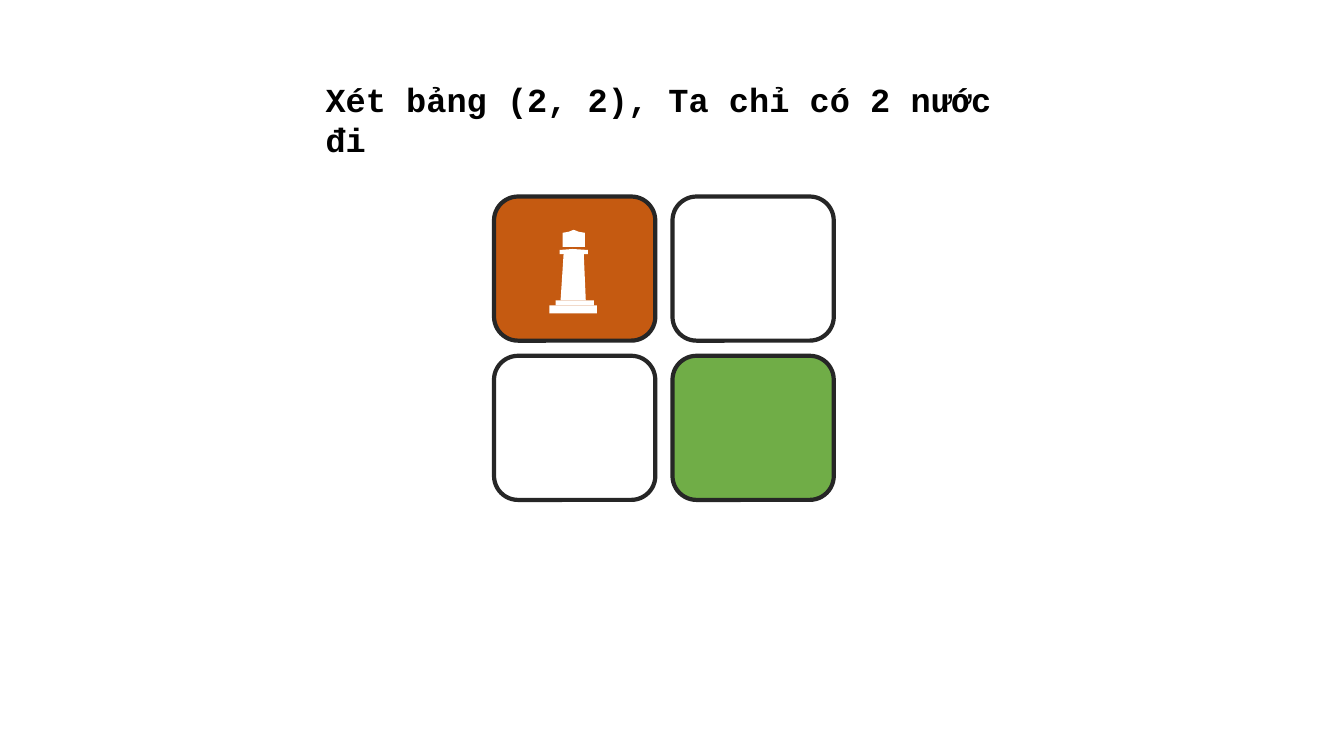
from pptx import Presentation
from pptx.dml.color import RGBColor
from pptx.enum.shapes import MSO_SHAPE
from pptx.util import Inches, Pt

FONT = "Courier New"
BLACK, WHITE, EDGE = "000000", "FFFFFF", "262626"
ORANGE, GREEN = "C55A11", "70AD47"


def color(value):
    return RGBColor.from_string(value)


def paint(shape, fill, line=None):
    shape.shadow.inherit = False
    shape.fill.solid()
    shape.fill.fore_color.rgb = color(fill)
    if line:
        shape.line.color.rgb = color(line)
        shape.line.width = Pt(3)
    else:
        shape.line.fill.background()


def add_heading(page, left, top, width, height):
    box = page.shapes.add_textbox(
        Inches(left), Inches(top), Inches(width), Inches(height))
    box.text_frame.word_wrap = True
    para = box.text_frame.paragraphs[0]
    para.text = "Xét bảng (2, 2), Ta chỉ có 2 nước đi"
    para.font.name = FONT
    para.font.size = Pt(24)
    para.font.bold = True
    para.font.color.rgb = color(BLACK)


def add_board(page, left, top, width, height):
    fills = [[ORANGE, WHITE], [WHITE, GREEN]]
    cell_width, cell_height = 1.6, 1.43
    step_x, step_y = width - cell_width, height - cell_height
    for row, row_fills in enumerate(fills):
        for column, fill in enumerate(row_fills):
            cell = page.shapes.add_shape(
                MSO_SHAPE.ROUNDED_RECTANGLE,
                Inches(left + column * step_x), Inches(top + row * step_y),
                Inches(cell_width), Inches(cell_height))
            paint(cell, fill, EDGE)


def add_rook(page, left, top):
    rook = page.shapes.add_group_shape()
    # Crown, collar and tapered body, as offsets from the top left corner
    outlines = [
        [(0.13, 0.03), (0.19, 0.02), (0.24, 0), (0.29, 0.02), (0.35, 0.03),
         (0.35, 0.17), (0.13, 0.17)],
        [(0.1, 0.2), (0.23, 0.19), (0.38, 0.2), (0.38, 0.24), (0.1, 0.24)],
        [(0.14, 0.24), (0.34, 0.24), (0.36, 0.7), (0.11, 0.7)],
    ]
    for outline in outlines:
        points = [(Inches(left + x), Inches(top + y)) for x, y in outline]
        builder = rook.shapes.build_freeform(*points[0])
        builder.add_line_segments(points[1:], close=True)
        paint(builder.convert_to_shape(), WHITE)
    # Two base steps
    for x, y, width, height in [(0.06, 0.7, 0.38, 0.05), (0, 0.75, 0.47, 0.08)]:
        step = rook.shapes.add_shape(
            MSO_SHAPE.RECTANGLE, Inches(left + x), Inches(top + y),
            Inches(width), Inches(height))
        paint(step, WHITE)


def main():
    deck = Presentation()
    deck.slide_width, deck.slide_height = Inches(13.33), Inches(7.5)
    page = deck.slides.add_slide(deck.slide_layouts[6])
    add_board(page, 4.9, 1.95, 3.37, 3.01)
    add_rook(page, 5.45, 2.28)
    add_heading(page, 3.13, 0.73, 7.08, 0.5)
    deck.save("out.pptx")


if __name__ == "__main__":
    main()
